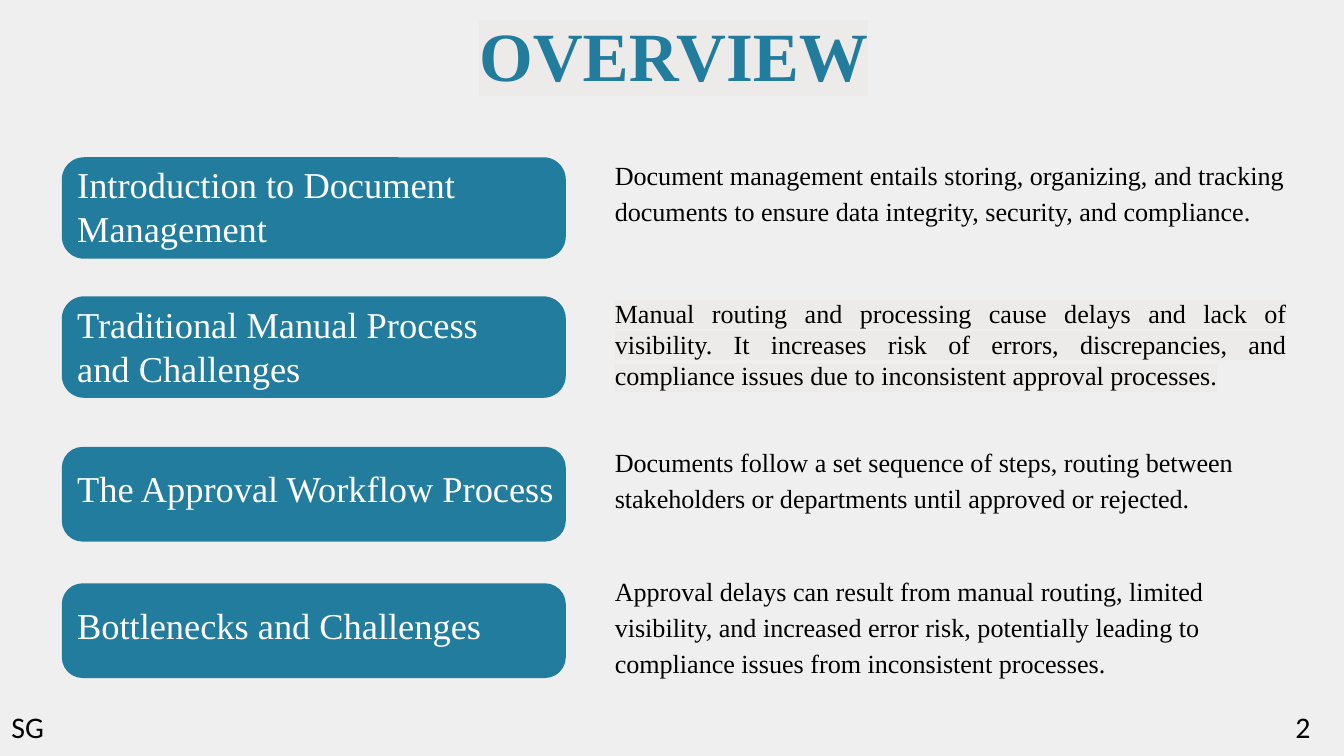
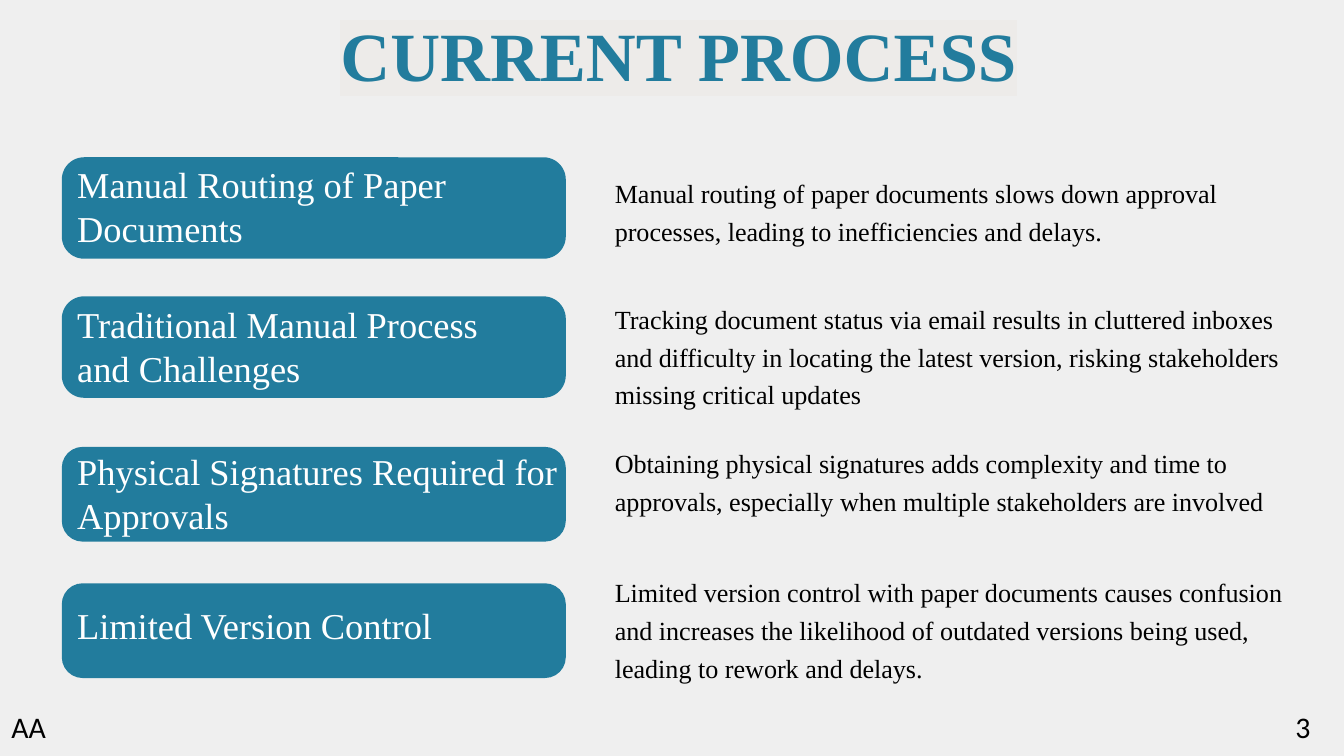
from dataclasses import dataclass

from lxml import etree
from pptx import Presentation
from pptx.dml.color import RGBColor
from pptx.enum.shapes import MSO_SHAPE
from pptx.enum.text import MSO_ANCHOR, MSO_AUTO_SIZE, PP_ALIGN
from pptx.oxml.ns import qn
from pptx.util import Inches, Pt

LEFT, CENTER, JUSTIFY = PP_ALIGN.LEFT, PP_ALIGN.CENTER, PP_ALIGN.JUSTIFY
ROUNDED = MSO_SHAPE.ROUNDED_RECTANGLE
TOP = MSO_ANCHOR.TOP
FIT_SHAPE = MSO_AUTO_SIZE.SHAPE_TO_FIT_TEXT
TITLE_ONLY = 5


@dataclass(frozen=True)
class Theme:
    background: str = "EFEFEF"
    accent: str = "227C9D"
    highlight: str = "EDEBE9"
    light: str = "FFFFFF"
    dark: str = "000000"
    serif: str = "Times New Roman"
    sans: str = "Calibri"
    title_size: int = 74
    label_size: int = 39
    body_size: int = 28
    footer_size: int = 32


THEME = Theme()
WIDTH, HEIGHT = 20, 11.25

# Each item: label, description, then the places where it departs from its row.
SLIDES = [
    {
        "title": "OVERVIEW",
        "title_box": (6.36, 0, 8.58, 1.25),
        "title_format": {"alignment": LEFT, "margin": 0.77},
        "body_spacing": 1.15,
        "presenter": "SG",
        "number": "2",
        "items": [
            ("Introduction to Document Management",
             "Document management entails storing, organizing, and tracking documents "
             "to ensure data integrity, security, and compliance.",
             {"body_top": 2.2}),
            ("Traditional Manual Process and Challenges",
             "Manual routing and processing cause delays and lack of visibility. It "
             "increases risk of errors, discrepancies, and compliance issues due to "
             "inconsistent approval processes.",
             {"body_format": {"alignment": JUSTIFY, "spacing": 1.0,
                              "highlight": THEME.highlight}}),
            ("The Approval Workflow Process",
             "Documents follow a set sequence of steps, routing between stakeholders "
             "or departments until approved or rejected.",
             {}),
            ("Bottlenecks and Challenges",
             "Approval delays can result from manual routing, limited visibility, and "
             "increased error risk, potentially leading to compliance issues from "
             "inconsistent processes.",
             {}),
        ],
    },
    {
        "title": "CURRENT PROCESS",
        "title_box": (1.91, 0, 16.38, 1.25),
        "title_format": {"alignment": CENTER},
        "body_spacing": 1.2,
        "presenter": "AA",
        "number": "3",
        "items": [
            ("Manual Routing of Paper Documents",
             "Manual routing of paper documents slows down approval processes, "
             "leading to inefficiencies and delays.",
             {}),
            ("Traditional Manual Process and Challenges",
             "Tracking document status via email results in cluttered inboxes and "
             "difficulty in locating the latest version, risking stakeholders missing "
             "critical updates",
             {}),
            ("Physical Signatures Required for Approvals",
             "Obtaining physical signatures adds complexity and time to approvals, "
             "especially when multiple stakeholders are involved",
             {"label_top": 6.59, "label_height": 1.52}),
            ("Limited Version Control",
             "Limited version control with paper documents causes confusion and "
             "increases the likelihood of outdated versions being used, leading to "
             "rework and delays.",
             {}),
        ],
    },
]

BAND_LEFT, BAND_WIDTH, BAND_ROUNDING = 0.92, 7.5, 0.22
LABEL_LEFT = 1.05
BODY_LEFT, BODY_WIDTH = 9.05, 10.19
FOOTER_TOP, FOOTER_HEIGHT = 10.44, 0.74
ROWS = [
    {"band_top": 2.34, "band_height": 1.51, "label_top": 2.31, "label_width": 7.38,
     "label_height": 1.52, "body_top": 2.45, "body_height": 1.24},
    {"band_top": 4.41, "band_height": 1.51, "label_top": 4.4, "label_width": 7.07,
     "label_height": 1.52, "body_top": 4.32, "body_height": 1.8},
    {"band_top": 6.65, "band_height": 1.41, "label_top": 6.84, "label_width": 9.04,
     "label_height": 0.86, "body_top": 6.47, "body_height": 1.24},
    {"band_top": 8.68, "band_height": 1.41, "label_top": 8.87, "label_width": 9.04,
     "label_height": 0.86, "body_top": 8.39, "body_height": 1.8},
]


def set_attributes(target, values):
    for name, value in values.items():
        setattr(target, name, value)


def inches(box):
    return [Inches(length) for length in box]


def add_highlight(run, color):
    """Place the highlight right after the run's fill, as the schema demands."""
    highlight = etree.Element(qn("a:highlight"))
    etree.SubElement(highlight, qn("a:srgbClr"), val=color)
    run.font.fill  # the fill is already solid here
    run.font._element.find(qn("a:solidFill")).addnext(highlight)


def write(shape, text, size, color, font=THEME.serif, bold=False, inset=0.1,
          alignment=LEFT, spacing=1.0, margin=0, indent=0, highlight=None):
    frame = shape.text_frame
    set_attributes(frame, {
        "word_wrap": True, "auto_size": FIT_SHAPE, "vertical_anchor": TOP,
        **{f"margin_{side}": Inches(inset) for side in ("left", "top", "right", "bottom")},
    })
    paragraph = frame.paragraphs[0]
    set_attributes(paragraph, {"alignment": alignment, "line_spacing": spacing})
    properties = paragraph._p.get_or_add_pPr()
    properties.set("marL", str(Inches(margin)))
    properties.set("indent", str(Inches(indent)))
    run = paragraph.add_run()
    run.text = text
    set_attributes(run.font, {"name": font, "size": Pt(size), "bold": bold})
    run.font.color.rgb = RGBColor.from_string(color)
    if highlight:
        add_highlight(run, highlight)


def add_text(slide, box, text, size, color, **text_format):
    write(slide.shapes.add_textbox(*inches(box)), text, size, color, **text_format)


def add_title(slide, content):
    title = slide.shapes.title
    set_attributes(title, dict(zip(("left", "top", "width", "height"),
                                   inches(content["title_box"]))))
    write(title, content["title"], THEME.title_size, THEME.accent, bold=True, inset=0,
          spacing=1.15, highlight=THEME.highlight, **content["title_format"])


def add_band(slide, row):
    band = slide.shapes.add_shape(
        ROUNDED, *inches((BAND_LEFT, row["band_top"], BAND_WIDTH, row["band_height"])))
    band.adjustments[0] = BAND_ROUNDING
    band.shadow.inherit = False
    band.fill.solid()
    band.fill.fore_color.rgb = RGBColor.from_string(THEME.accent)
    band.line.fill.background()


def add_item(slide, row, label, body, body_spacing):
    add_band(slide, row)
    add_text(slide, (LABEL_LEFT, row["label_top"], row["label_width"], row["label_height"]),
             label, THEME.label_size, THEME.light)
    body_format = {"spacing": body_spacing, **row.get("body_format", {})}
    add_text(slide, (BODY_LEFT, row["body_top"], BODY_WIDTH, row["body_height"]),
             body, THEME.body_size, THEME.dark, **body_format)


def add_footer(slide, presenter, number):
    style = {"size": THEME.footer_size, "color": THEME.dark, "font": THEME.sans}
    add_text(slide, (16.18, FOOTER_TOP, 3.83, FOOTER_HEIGHT), number,
             margin=2.5, indent=0.5, **style)
    add_text(slide, (0.07, FOOTER_TOP, 9.69, FOOTER_HEIGHT), presenter, **style)


def main():
    presentation = Presentation()
    set_attributes(presentation, {"slide_width": Inches(WIDTH),
                                  "slide_height": Inches(HEIGHT)})
    background = presentation.slide_master.background.fill
    background.solid()
    background.fore_color.rgb = RGBColor.from_string(THEME.background)

    for content in SLIDES:
        slide = presentation.slides.add_slide(presentation.slide_layouts[TITLE_ONLY])
        add_title(slide, content)
        for row, (label, body, changes) in zip(ROWS, content["items"]):
            add_item(slide, {**row, **changes}, label, body, content["body_spacing"])
        add_footer(slide, content["presenter"], content["number"])
    presentation.save("out.pptx")


if __name__ == "__main__":
    main()
